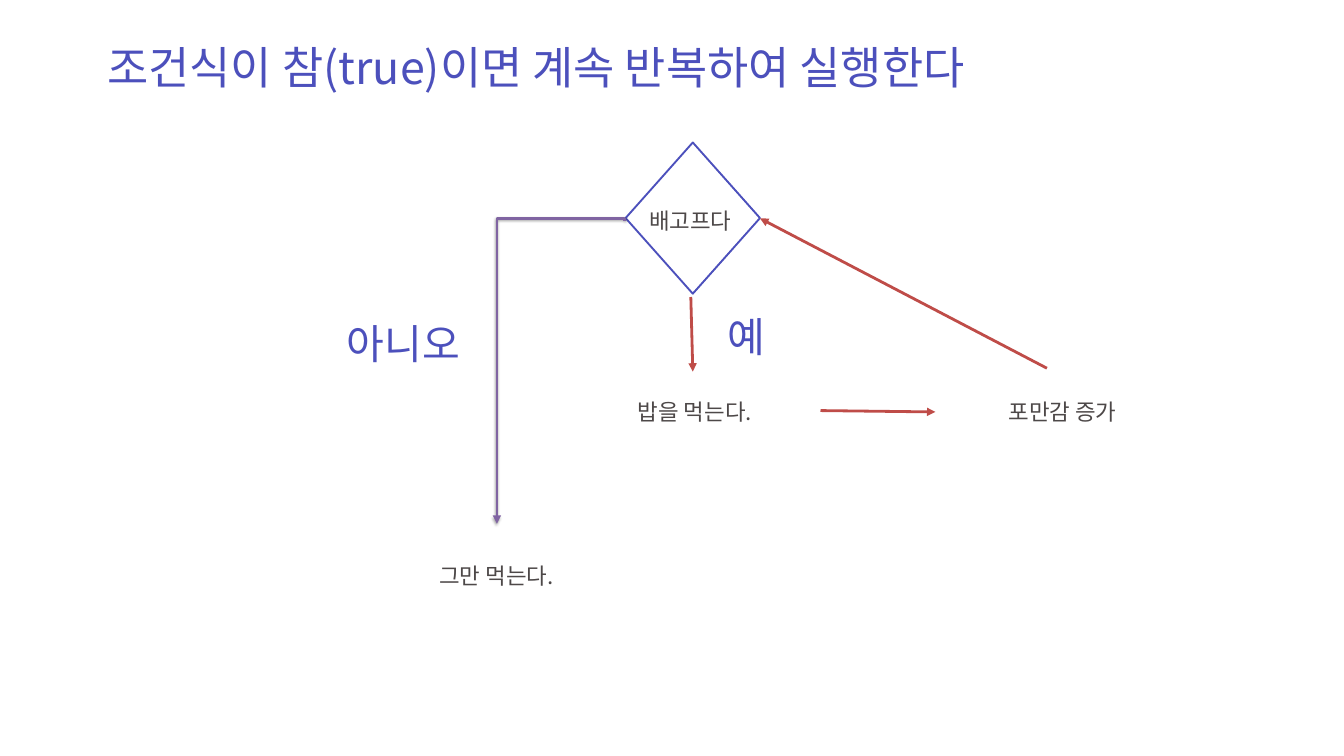
import lxml.etree
import pptx
import pptx.dml.color
import pptx.enum.shapes
import pptx.enum.text
import pptx.oxml
import pptx.oxml.ns
import pptx.util

Inches = pptx.util.Inches
Pt = pptx.util.Pt
qn = pptx.oxml.ns.qn
KIND = pptx.enum.shapes.MSO_CONNECTOR

FONT = "Noto Sans CJK KR"
BLUE = "4C50BC"
GRAY = "4D4848"
RED = "BF4C48"
PURPLE = "8064A2"
SHADOW = (
    '<a:outerShdw xmlns:a="http://schemas.openxmlformats.org/drawingml/2006/main"'
    ' blurRad="39370" dist="22860" dir="5400000" rotWithShape="0">'
    '<a:srgbClr val="000000"><a:alpha val="35000"/></a:srgbClr></a:outerShdw>'
)


def color(value):
    return pptx.dml.color.RGBColor.from_string(value)


def label(slide, text, box, size, tint):
    frame = slide.shapes.add_textbox(*map(Inches, box)).text_frame
    frame.word_wrap = True
    frame.vertical_anchor = pptx.enum.text.MSO_ANCHOR.MIDDLE
    frame.text = text
    run = frame.paragraphs[0].runs[0]
    run.font.size = Pt(size)
    run.font.name = FONT
    run.font.color.rgb = color(tint)
    east = lxml.etree.SubElement(run.font._element, qn("a:ea"))
    east.set("typeface", FONT)


def diamond(slide, box):
    kind = pptx.enum.shapes.MSO_SHAPE.DIAMOND
    shape = slide.shapes.add_shape(kind, *map(Inches, box))
    shape.shadow.inherit = False
    shape.fill.background()
    shape.line.color.rgb = color(BLUE)
    shape.line.width = Pt(2)


def arrow(slide, start, end, tint, kind=KIND.STRAIGHT):
    line = slide.shapes.add_connector(kind, *map(Inches, start + end))
    line.line.color.rgb = color(tint)
    line.line.width = Pt(3)
    props = line._element.spPr
    tail = lxml.etree.SubElement(props.find(qn("a:ln")), qn("a:tailEnd"))
    tail.set("type", "triangle")
    lxml.etree.SubElement(props, qn("a:effectLst"))
    return line


def elbow(slide):
    """Draw the exit branch: left from the diamond, then down."""
    line = arrow(slide, (6.09, 4.59), (10.6, 6.49), PURPLE, KIND.ELBOW)
    props = line._element.spPr
    props.find(qn("a:xfrm")).set("rot", "5400000")
    guides = props.find(qn("a:prstGeom")).get_or_add_avLst()
    guide = lxml.etree.SubElement(guides, qn("a:gd"))
    guide.set("name", "adj1")
    guide.set("fmla", "val -800")
    props.find(qn("a:effectLst")).append(pptx.oxml.parse_xml(SHADOW))


def main():
    deck = pptx.Presentation()
    deck.slide_width = Inches(20)
    deck.slide_height = Inches(11.25)
    slide = deck.slides.add_slide(deck.slide_layouts[6])

    diamond(slide, (9.31, 2.12, 2, 2.25))
    elbow(slide)
    for start, end in (
        ((10.28, 4.42), (10.31, 5.53)),
        ((12.21, 6.11), (13.92, 6.13)),
        ((15.58, 5.48), (11.31, 3.25)),
    ):
        arrow(slide, start, end, RED)

    title = "조건식이 참(true)이면 계속 반복하여 실행한다"
    label(slide, title, (1.5, 0.54, 15.33, 0.91), 48, BLUE)
    label(slide, "아니오", (5.06, 4.68, 2.23, 0.84), 44, BLUE)
    label(slide, "예", (10.73, 4.58, 1.17, 0.84), 44, BLUE)
    for text, left, top, width in (
        ("배고프다", 9.56, 3.03, 1.55),
        ("밥을 먹는다.", 9.39, 5.88, 2.08),
        ("그만 먹는다.", 6.44, 8.32, 2.08),
        ("포만감 증가", 14.91, 5.88, 2),
    ):
        label(slide, text, (left, top, width, 0.5), 24, GRAY)

    deck.save("out.pptx")


if __name__ == "__main__":
    main()
